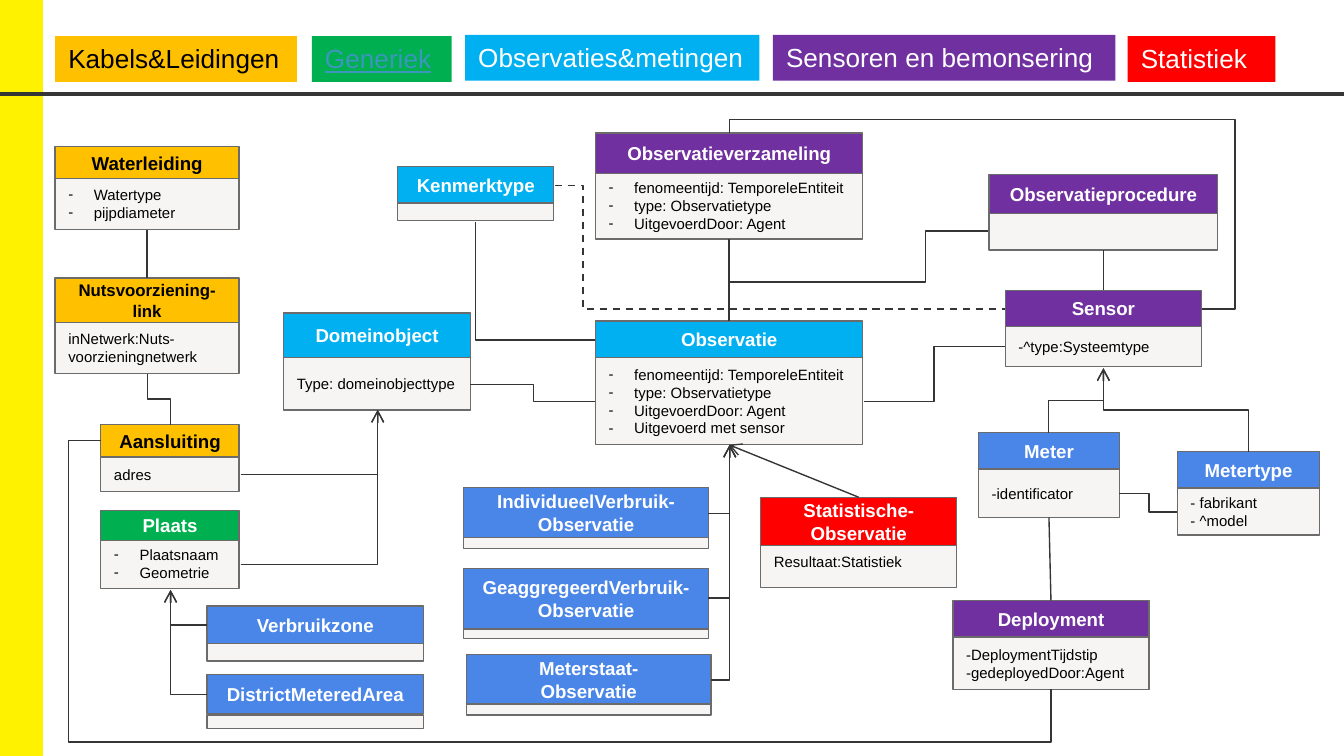
from dataclasses import dataclass

from lxml.etree import SubElement
from pptx import Presentation
from pptx.dml.color import RGBColor
from pptx.enum.dml import MSO_LINE
from pptx.enum.shapes import MSO_CONNECTOR, MSO_SHAPE
from pptx.enum.text import MSO_ANCHOR, MSO_AUTO_SIZE, PP_ALIGN
from pptx.oxml.ns import qn
from pptx.util import Inches, Pt

SLIDE_WIDTH = 10
SLIDE_HEIGHT = SLIDE_WIDTH * 9 / 16

COLOURS = {
    "yellow": "FFF200", "orange": "FFC000", "green": "00B050", "cyan": "00B0F0",
    "purple": "7030A0", "red": "FF0000", "blue": "4A86E8", "body": "F6F5F3",
    "border": "6B6B6B", "line": "363535", "black": "000000", "white": "FFFFFF",
    "link": "3C96BE",
}

Point = tuple[float, float]


@dataclass
class ClassBox:
    name: str
    colour: str
    left: float
    top: float
    width: float
    head_height: float
    body_top: float
    body_height: float
    attributes: str = ""
    bulleted: bool = False
    name_size: float = 10


@dataclass
class LegendLabel:
    text: str
    colour: str
    left: float
    top: float
    width: float
    text_colour: str = "white"
    underline: bool = False


@dataclass
class Route:
    points: list[Point]
    arrow: bool = False
    dashed: bool = False
    width: float = 0.75


@dataclass
class Link:
    """A straight line from the top of one class to the bottom of another."""
    lower: str
    upper: str
    arrow: bool = False


OBSERVATION = "fenomeentijd: TemporeleEntiteit\ntype: Observatietype\nUitgevoerdDoor: Agent"

LEGEND = [
    LegendLabel("Kabels&Leidingen", "orange", 0.41, 0.27, 1.8, "black"),
    LegendLabel("Observaties&metingen", "cyan", 3.46, 0.26, 2.19),
    LegendLabel("Sensoren en bemonsering", "purple", 5.75, 0.26, 2.55),
    LegendLabel("Statistiek", "red", 8.39, 0.27, 1.1),
    LegendLabel("Generiek", "green", 2.32, 0.27, 1.04, "link", underline=True),
]

CLASSES = [
    ClassBox("Waterleiding", "orange", 0.41, 1.09, 1.37, 0.24, 1.32, 0.39,
             "Watertype\npijpdiameter", bulleted=True),
    ClassBox("Nutsvoorziening-link", "orange", 0.41, 2.07, 1.37, 0.33, 2.39, 0.39,
             "inNetwerk:Nuts-voorzieningnetwerk", name_size=9),
    ClassBox("Plaats", "green", 0.75, 3.8, 1.03, 0.22, 4, 0.38,
             "Plaatsnaam\nGeometrie", bulleted=True),
    ClassBox("Aansluiting", "orange", 0.75, 3.16, 1.03, 0.24, 3.4, 0.26, "adres"),
    ClassBox("Domeinobject", "cyan", 2.11, 2.33, 1.39, 0.33, 2.66, 0.39,
             "Type: domeinobjecttype"),
    ClassBox("Verbruikzone", "blue", 1.54, 4.51, 1.61, 0.28, 4.78, 0.14),
    ClassBox("DistrictMeteredArea", "blue", 1.54, 5.02, 1.61, 0.29, 5.32, 0.1),
    ClassBox("Observatie", "cyan", 4.43, 2.39, 1.99, 0.27, 2.66, 0.65,
             OBSERVATION + "\nUitgevoerd met sensor", bulleted=True),
    ClassBox("Observatieverzameling", "purple", 4.43, 0.99, 1.99, 0.3, 1.28, 0.5,
             OBSERVATION, bulleted=True),
    ClassBox("IndividueelVerbruik-Observatie", "blue", 3.45, 3.63, 1.82, 0.37, 3.93, 0.15),
    ClassBox("GeaggregeerdVerbruik-Observatie", "blue", 3.45, 4.23, 1.82, 0.45, 4.6, 0.15),
    ClassBox("Meterstaat-\nObservatie", "blue", 3.47, 4.87, 1.82, 0.37, 5.17, 0.15),
    ClassBox("Sensor", "purple", 7.48, 2.16, 1.46, 0.27, 2.43, 0.3, "-^type:Systeemtype"),
    ClassBox("Observatieprocedure", "purple", 7.36, 1.3, 1.7, 0.29, 1.59, 0.27),
    ClassBox("Meter", "blue", 7.28, 3.22, 1.05, 0.27, 3.49, 0.36, "-identificator"),
    ClassBox("Metertype", "blue", 8.76, 3.36, 1.06, 0.27, 3.63, 0.35,
             "- fabrikant\n- ^model"),
    ClassBox("Deployment", "purple", 7.09, 4.47, 1.46, 0.27, 4.74, 0.39,
             "-DeploymentTijdstip\n-gedeployedDoor:Agent"),
    ClassBox("Kenmerktype", "cyan", 2.96, 1.24, 1.16, 0.27, 1.51, 0.13),
    ClassBox("Statistische-Observatie", "red", 5.66, 3.7, 1.46, 0.36, 3.98, 0.39,
             "Resultaat:Statistiek"),
]

LINKS = [
    Link("Nutsvoorziening-link", "Waterleiding"),
    Link("Observatie", "Observatieverzameling"),
    Link("Sensor", "Observatieprocedure"),
    Link("Deployment", "Meter"),
    Link("Statistische-Observatie", "Observatie", arrow=True),
]

# This route starts underneath the Observatie class
PROCEDURE_ROUTE = Route([(5.43, 2.66), (5.43, 2.1), (6.89, 2.1), (6.89, 1.72), (7.36, 1.72)])

ROUTES = [
    *(Route([(1.79, y), (2.81, y), (2.81, 3.05)], arrow=True) for y in (4.2, 3.53)),
    *(Route([(1.54, y), (1.27, y), (1.27, 4.39)], arrow=True) for y in (4.65, 5.17)),
    *(Route([(x, y), (5.43, y), (5.43, 3.31)], arrow=True)
      for x, y in ((5.27, 3.82), (5.27, 4.45), (5.29, 5.06))),
    Route([(5.43, 0.99), (5.43, 0.89), (9.19, 0.89), (9.19, 2.3), (8.94, 2.3)]),
    Route([(7.8, 3.22), (7.8, 2.98), (8.21, 2.98), (8.21, 2.74)], arrow=True),
    Route([(9.29, 3.36), (9.29, 3.05), (8.21, 3.05), (8.21, 2.74)], arrow=True),
    Route([(8.33, 3.67), (8.55, 3.67), (8.55, 3.81), (8.76, 3.81)]),
    Route([(1.27, 3.16), (1.27, 2.97), (1.1, 2.97), (1.1, 2.78)]),
    Route([(7.82, 5.13), (7.82, 5.52), (0.51, 5.52), (0.51, 3.28), (0.75, 3.28)]),
    Route([(4.43, 2.53), (3.54, 2.53), (3.54, 1.65)]),
    Route([(6.43, 2.99), (6.95, 2.99), (6.95, 2.58), (7.48, 2.58)]),
    Route([(4.13, 1.38), (4.34, 1.38), (4.34, 2.3), (7.48, 2.3)], dashed=True, width=1),
    Route([(3.5, 2.86), (3.97, 2.86), (3.97, 2.99), (4.43, 2.99)]),
]


def rgb(name: str) -> RGBColor:
    return RGBColor.from_string(COLOURS[name])


def add_rectangle(shapes, left: float, top: float, width: float, height: float,
                  fill: str, border: str | None = None, border_width: float = 0.75):
    shape = shapes.add_shape(MSO_SHAPE.RECTANGLE, Inches(left), Inches(top),
                             Inches(width), Inches(height))
    shape.shadow.inherit = False
    shape.fill.solid()
    shape.fill.fore_color.rgb = rgb(fill)
    if border:
        shape.line.color.rgb = rgb(border)
        shape.line.width = Pt(border_width)
    else:
        shape.line.fill.background()
    return shape


def write_text(shape, text: str, *, size: float, colour: str = "black", bold: bool = False,
               underline: bool = False, align=PP_ALIGN.LEFT, anchor=MSO_ANCHOR.MIDDLE,
               margin: float = 0.1, bulleted: bool = False) -> None:
    frame = shape.text_frame
    frame.word_wrap = True
    frame.vertical_anchor = anchor
    frame.margin_left = frame.margin_right = Inches(0.1)
    frame.margin_top = frame.margin_bottom = Inches(margin)
    for index, line in enumerate(text.split("\n")):
        paragraph = frame.add_paragraph() if index else frame.paragraphs[0]
        paragraph.alignment = align
        if bulleted:
            properties = paragraph._p.get_or_add_pPr()
            properties.set("marL", str(Inches(0.19)))
            properties.set("indent", str(-Inches(0.19)))
            SubElement(properties, qn("a:buFont"), typeface="Arial")
            SubElement(properties, qn("a:buChar"), char="-")
        run = paragraph.add_run()
        run.text = line
        font = run.font
        font.name, font.size, font.bold = "Arial", Pt(size), bold
        font.underline = underline
        font.color.rgb = rgb(colour)


def add_class(slide, box: ClassBox) -> tuple:
    """Draw a class and return its header and body."""
    shapes = slide.shapes.add_group_shape().shapes
    body = add_rectangle(shapes, box.left, box.body_top, box.width, box.body_height,
                         "body", "border")
    if box.attributes:
        write_text(body, box.attributes, size=8, bulleted=box.bulleted)
    header = add_rectangle(shapes, box.left, box.top, box.width, box.head_height,
                           box.colour, "border")
    write_text(header, box.name, size=box.name_size, bold=True, align=PP_ALIGN.CENTER,
               colour="black" if box.colour == "orange" else "white")
    return header, body


def add_line(slide, start: Point, end: Point, kind=MSO_CONNECTOR.STRAIGHT,
             width: float = 0.75, arrow: bool = False, dashed: bool = False):
    connector = slide.shapes.add_connector(kind, *(Inches(value) for value in (*start, *end)))
    connector.line.color.rgb = rgb("line")
    connector.line.width = Pt(width)
    if dashed:
        connector.line.dash_style = MSO_LINE.DASH
    if arrow:
        SubElement(connector.line._get_or_add_ln(), qn("a:tailEnd"), type="arrow")
    SubElement(connector._element.spPr, qn("a:effectLst"))
    return connector


def add_route(slide, route: Route) -> None:
    """Draw an elbow connector; one that leaves vertically is turned by 90 degrees."""
    (x1, y1), (x2, y2) = start, end = route.points[0], route.points[-1]
    vertical = route.points[1][0] == x1
    if vertical:
        centre_x, centre_y = (x1 + x2) / 2, (y1 + y2) / 2
        half_x, half_y = (y2 - y1) / 2, (x1 - x2) / 2
        start = (centre_x - half_x, centre_y - half_y)
        end = (centre_x + half_x, centre_y + half_y)
    connector = add_line(slide, start, end, MSO_CONNECTOR.ELBOW,
                         route.width, route.arrow, route.dashed)
    properties = connector._element.spPr
    if vertical:
        properties.find(qn("a:xfrm")).set("rot", "5400000")
    geometry = properties.find(qn("a:prstGeom"))
    geometry.set("prst", f"bentConnector{len(route.points) - 1}")
    guides = geometry.find(qn("a:avLst"))
    # Each inner segment lies at a share of the way along one axis
    for number, point in enumerate(route.points[1:-2], start=1):
        axis = (number + vertical + 1) % 2
        first, last = route.points[0][axis], route.points[-1][axis]
        share = round((point[axis] - first) / (last - first) * 100000)
        SubElement(guides, qn("a:gd"), name=f"adj{number}", fmla=f"val {share}")


def main() -> None:
    presentation = Presentation()
    presentation.slide_width = Inches(SLIDE_WIDTH)
    presentation.slide_height = Inches(SLIDE_HEIGHT)
    slide = presentation.slides.add_slide(presentation.slide_layouts[6])

    # Side bar
    add_rectangle(slide.shapes, 0, 0, 0.31, SLIDE_HEIGHT, "yellow", "yellow", 1)

    # Class diagram
    add_route(slide, PROCEDURE_ROUTE)
    drawn = {box.name: add_class(slide, box) for box in CLASSES}
    for link in LINKS:
        connector = add_line(slide, (0, 0), (1, 1), arrow=link.arrow)
        connector.begin_connect(drawn[link.lower][0], 0)
        connector.end_connect(drawn[link.upper][1], 2)
    for route in ROUTES:
        add_route(slide, route)

    # Legend and header rule
    for label in LEGEND:
        shape = add_rectangle(slide.shapes, label.left, label.top, label.width, 0.34,
                              label.colour)
        write_text(shape, label.text, size=14, colour=label.text_colour,
                   underline=label.underline, anchor=MSO_ANCHOR.TOP, margin=0.05)
        shape.text_frame.auto_size = MSO_AUTO_SIZE.SHAPE_TO_FIT_TEXT
    add_line(slide, (0, 0.7), (SLIDE_WIDTH, 0.7), width=2.25)

    presentation.save("out.pptx")


if __name__ == "__main__":
    main()
